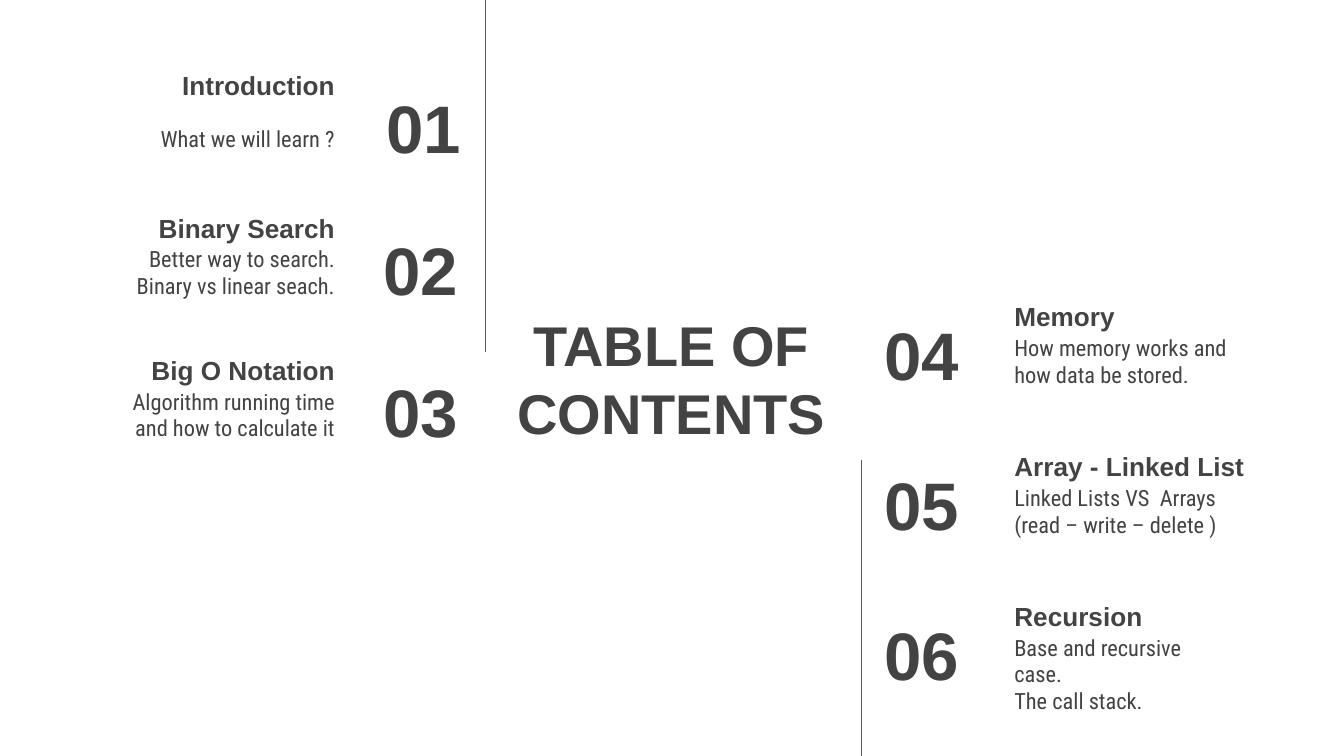
from dataclasses import dataclass

from lxml.etree import SubElement
from pptx import Presentation
from pptx.dml.color import RGBColor
from pptx.enum.shapes import MSO_CONNECTOR
from pptx.enum.text import MSO_ANCHOR, PP_ALIGN
from pptx.oxml.ns import qn
from pptx.util import Cm, Pt

COLORS = {"text": "434343", "rule": "595959"}
FORMATS = {
    "title": {"name": "Arial", "size": Pt(30), "bold": True},
    "number": {"name": "Arial", "size": Pt(36), "bold": True},
    "heading": {"name": "Arial", "size": Pt(14), "bold": True},
    "detail": {"name": "Roboto Condensed", "size": Pt(12), "bold": False},
}
ANCHORS = {
    "title": MSO_ANCHOR.MIDDLE,
    "number": MSO_ANCHOR.MIDDLE,
    "heading": MSO_ANCHOR.BOTTOM,
    "detail": MSO_ANCHOR.TOP,
}
SLIDE_WIDTH, SLIDE_HEIGHT = 25.4, 14.29
ROW_HEIGHT = 1.6
HEADING_WIDTH = 5.49


@dataclass
class Topic:
    heading: str
    details: list[str]
    detail_width: float = 4.65
    detail_drop: float = 1.14
    detail_height: float = ROW_HEIGHT
    number_shift: float = 0


@dataclass
class Column:
    """A stack of topics; lengths in centimetres."""
    topics: list[Topic]
    first_number: int
    top: float
    pitch: float
    heading_left: float
    number_left: float
    number_width: float
    number_drop: float
    align: PP_ALIGN


def add_text(slide, role: str, lines: list[str], left: float, top: float,
             width: float, height: float, align: PP_ALIGN) -> None:
    box = slide.shapes.add_textbox(Cm(left), Cm(top), Cm(width), Cm(height))
    frame = box.text_frame
    frame.word_wrap = True
    frame.vertical_anchor = ANCHORS[role]
    for side in ("left", "top", "right", "bottom"):
        setattr(frame, f"margin_{side}", Cm(0.25))
    for index, line in enumerate(lines):
        paragraph = frame.add_paragraph() if index else frame.paragraphs[0]
        paragraph.alignment = align
        run = paragraph.add_run()
        run.text = line
        for attribute, value in FORMATS[role].items():
            setattr(run.font, attribute, value)
        run.font.color.rgb = RGBColor.from_string(COLORS["text"])


def add_column(slide, column: Column) -> None:
    for row, topic in enumerate(column.topics):
        top = column.top + row * column.pitch
        detail_left = column.heading_left
        if column.align == PP_ALIGN.RIGHT:
            detail_left += HEADING_WIDTH - topic.detail_width
        add_text(slide, "number", [f"{column.first_number + row:02d}"],
                 column.number_left + topic.number_shift, top + column.number_drop,
                 column.number_width, ROW_HEIGHT, column.align)
        add_text(slide, "heading", [topic.heading], column.heading_left, top,
                 HEADING_WIDTH, ROW_HEIGHT, column.align)
        add_text(slide, "detail", topic.details, detail_left, top + topic.detail_drop,
                 topic.detail_width, topic.detail_height, column.align)


def add_vertical_rule(slide, x: float, top: float, bottom: float) -> None:
    rule = slide.shapes.add_connector(
        MSO_CONNECTOR.STRAIGHT, Cm(x), Cm(top), Cm(x), Cm(bottom))
    rule.line.color.rgb = RGBColor.from_string(COLORS["rule"])
    rule.line.width = Pt(0.75)
    SubElement(rule._element.spPr, qn("a:effectLst"))


LEFT_COLUMN = Column(
    topics=[
        Topic("Introduction", ["What we will learn ?"], detail_drop=1.55,
              detail_height=1.17, number_shift=0.05),
        Topic("Binary Search", ["Better way to search. Binary vs linear seach."],
              detail_width=5.08),
        Topic("Big O Notation", ["Algorithm running time and how to calculate it"],
              detail_width=4.85),
    ],
    first_number=1, top=0.56, pitch=2.69, heading_left=1.09,
    number_left=5.84, number_width=3.07, number_drop=1.03, align=PP_ALIGN.RIGHT,
)
RIGHT_COLUMN = Column(
    topics=[
        Topic("Memory", ["How memory works and how data be stored."]),
        Topic("Array - Linked List",
              ["Linked Lists VS  Arrays", "(read – write – delete )"]),
        Topic("Recursion", ["Base and recursive case.", "The call stack."]),
    ],
    first_number=4, top=4.93, pitch=2.83, heading_left=18.92,
    number_left=16.46, number_width=2.97, number_drop=0.96, align=PP_ALIGN.LEFT,
)


def main() -> None:
    deck = Presentation()
    deck.slide_width, deck.slide_height = Cm(SLIDE_WIDTH), Cm(SLIDE_HEIGHT)
    slide = deck.slides.add_slide(deck.slide_layouts[6])

    # Central title
    add_text(slide, "title", ["TABLE OF CONTENTS"], 9.4, 5.84, 6.58, 2.62,
             PP_ALIGN.CENTER)

    # Topics on either side
    for column in (LEFT_COLUMN, RIGHT_COLUMN):
        add_column(slide, column)

    # Rules running off the top and bottom edges
    add_vertical_rule(slide, 9.17, 0, 6.65)
    add_vertical_rule(slide, 16.28, 8.69, SLIDE_HEIGHT)

    deck.save("out.pptx")


if __name__ == "__main__":
    main()
